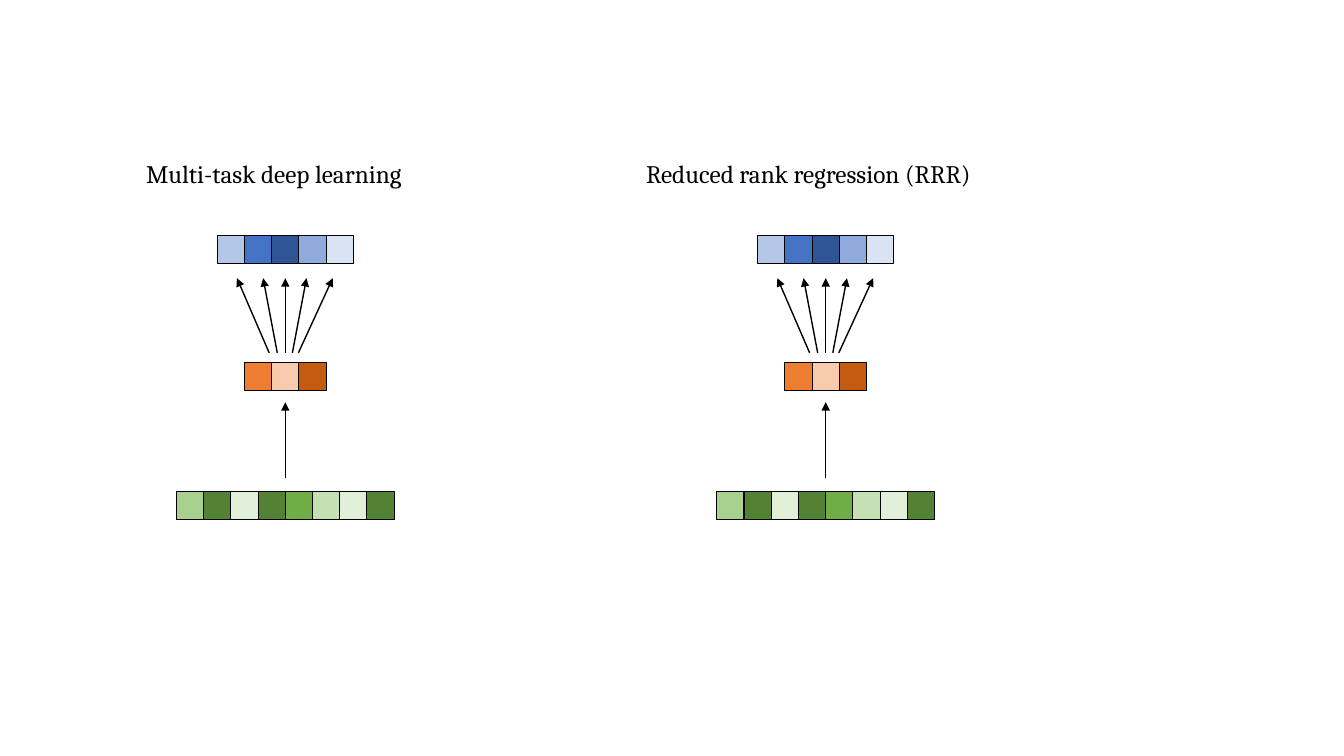
"""Draws two matching network diagrams: multi-task deep learning and reduced rank regression."""
from pptx import Presentation, util as u
from pptx.dml.color import RGBColor
from pptx.enum import shapes, text
from pptx.oxml.ns import qn
from lxml import etree

deck = Presentation()
deck.slide_width, deck.slide_height = u.Inches(13.33), u.Inches(7.5)
slide = deck.slides.add_slide(deck.slide_layouts[6])


def rgb(code):
    return RGBColor.from_string(code)


def label(words, left, top, width, height, size=18, font="Cambria", color="000000"):
    box = slide.shapes.add_textbox(*map(u.Inches, (left, top, width, height)))
    frame = box.text_frame
    frame.word_wrap = False
    frame.auto_size = text.MSO_AUTO_SIZE.SHAPE_TO_FIT_TEXT
    run = frame.paragraphs[0].add_run()
    run.text = words
    run.font.size, run.font.name = u.Pt(size), font
    run.font.color.rgb = rgb(color)


side = 0.27
layers = [
    (4.88, ["A9D18E", "548235", "E2F0D9", "548235", "70AD47", "C5E0B4", "E2F0D9", "548235"]),
    (3.6, ["ED7D31", "F8CBAD", "C55A11"]),
    (2.34, ["B4C7E7", "4472C4", "2F5597", "8FAADC", "DAE3F3"]),
]
arrows = [(0, 4.74, 0, 3.99)] + [
    (start, 3.5, end, 2.76)
    for start, end in [(-0.16, -0.48), (-0.08, -0.22), (0, 0), (0.07, 0.21), (0.13, 0.47)]
]
models = [
    ("Multi-task deep learning", 2.83, 1.35, 2.95),
    ("Reduced rank regression (RRR)", 8.19, 6.31, 3.75),
]

for title, mid, left, width in models:
    for top, fills in layers:
        for i, fill in enumerate(fills):
            x = mid + (i - len(fills) / 2) * side
            cell = slide.shapes.add_shape(
                shapes.MSO_SHAPE.RECTANGLE, *map(u.Inches, (x, top, side, side)))
            cell.shadow.inherit = False
            cell.fill.solid()
            cell.fill.fore_color.rgb = rgb(fill)
            cell.line.color.rgb = rgb("000000")
            cell.line.width = u.Pt(0.75)
    for x1, y1, x2, y2 in arrows:
        arrow = slide.shapes.add_connector(
            shapes.MSO_CONNECTOR.STRAIGHT, *map(u.Inches, (mid + x1, y1, mid + x2, y2)))
        arrow.line.color.rgb = rgb("000000")
        arrow.line.width = u.Pt(1)
        etree.SubElement(arrow.line._get_or_add_ln(), qn("a:tailEnd"), type="triangle")
        etree.SubElement(arrow._element.spPr, qn("a:effectLst"))
    label(title, left, 1.52, width, 0.4)

deck.save("out.pptx")
